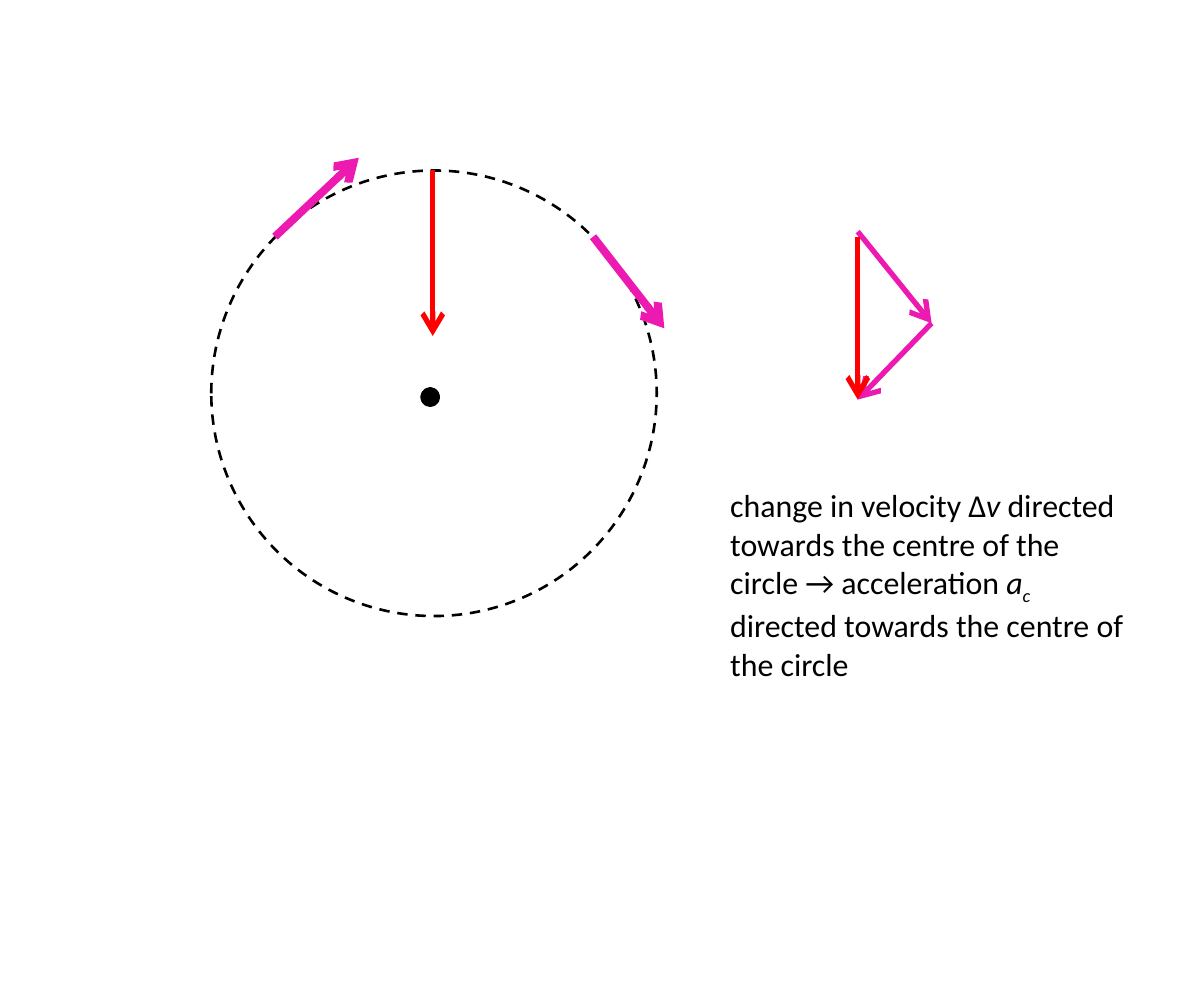
"""Build a slide on velocity change and acceleration in circular motion."""
from dataclasses import dataclass

from lxml import etree
from pptx import Presentation
from pptx.dml.color import RGBColor
from pptx.enum.dml import MSO_LINE
from pptx.enum.shapes import MSO_CONNECTOR, MSO_SHAPE
from pptx.oxml.ns import qn
from pptx.util import Inches, Pt

OVAL = MSO_SHAPE.OVAL
STRAIGHT = MSO_CONNECTOR.STRAIGHT
DASH = MSO_LINE.DASH
BLANK_LAYOUT = 6


@dataclass(frozen=True)
class Theme:
    """Colours, font and sizes of the slide."""
    ink: RGBColor = RGBColor(0, 0, 0)
    velocity: RGBColor = RGBColor(0xEC, 0x1A, 0xB0)
    change: RGBColor = RGBColor(0xFF, 0, 0)
    font: str = "Calibri"
    text_size: float = 9
    thin: float = 0.75
    medium: float = 1.5
    dot_edge: float = 2
    thick: float = 2.25


THEME = Theme()
SLIDE_SIZE = (4.73, 3.94)
ORBIT = {"centre": (1.705, 1.545), "diameter": 1.75}
CENTRE_DOT = {"centre": (1.69, 1.56), "diameter": 0.05}
TRIANGLE = {"top": (3.37, 0.91), "side": (3.66, 1.27), "bottom": (3.37, 1.57)}
ARROWS = [
    ((1.08, 0.93), (1.41, 0.62), THEME.velocity, THEME.thick),
    ((2.33, 0.93), (2.61, 1.29), THEME.velocity, THEME.thick),
    (TRIANGLE["side"], TRIANGLE["bottom"], THEME.velocity, THEME.medium),
    (TRIANGLE["top"], TRIANGLE["side"], THEME.velocity, THEME.medium),
    ((3.37, 0.93), TRIANGLE["bottom"], THEME.change, THEME.medium),
]
CENTRE_ARROW = ((1.7, 0.67), (1.7, 1.32), THEME.change, THEME.medium)
CAPTION_AREA = (2.77, 1.86, 1.78, 0.86)
CAPTION = [
    ("change in velocity Δ", "plain"),
    ("v ", "italic"),
    ("directed towards the centre of the circle → acceleration ", "plain"),
    ("a", "italic"),
    ("c", "subscript"),
    (" directed towards the centre of the circle", "plain"),
]


def add_circle(page, centre, diameter, width):
    """Add an unfilled circle around a centre point."""
    left, top = (Inches(value - diameter / 2) for value in centre)
    circle = page.shapes.add_shape(OVAL, left, top, Inches(diameter), Inches(diameter))
    circle.shadow.inherit = False
    circle.fill.background()
    circle.line.color.rgb = THEME.ink
    circle.line.width = Pt(width)
    return circle


def add_arrow(page, start, end, colour, width):
    """Add a straight line with an open arrowhead at its end."""
    points = [Inches(value) for value in (*start, *end)]
    arrow = page.shapes.add_connector(STRAIGHT, *points)
    arrow.line.color.rgb = colour
    arrow.line.width = Pt(width)
    properties = arrow.line._get_or_add_ln()
    etree.SubElement(properties, qn("a:tailEnd"), type="arrow")
    etree.SubElement(arrow._element.spPr, qn("a:effectLst"))


def add_caption(page):
    """Add the wrapped explanation with its italic symbols."""
    box = page.shapes.add_textbox(*(Inches(value) for value in CAPTION_AREA))
    box.text_frame.word_wrap = True
    para = box.text_frame.paragraphs[0]
    for words, style in CAPTION:
        span = para.add_run()
        span.text = words
        span.font.name = THEME.font
        span.font.size = Pt(THEME.text_size)
        span.font.color.rgb = THEME.ink
        span.font.italic = style != "plain"
        if style == "subscript":
            span.font._element.set("baseline", "-25000")


def main():
    """Assemble and save the deck."""
    deck = Presentation()
    deck.slide_width, deck.slide_height = (Inches(value) for value in SLIDE_SIZE)
    page = deck.slides.add_slide(deck.slide_layouts[BLANK_LAYOUT])
    orbit = add_circle(page, **ORBIT, width=THEME.thin)
    orbit.line.dash_style = DASH
    for arrow in ARROWS:
        add_arrow(page, *arrow)
    dot = add_circle(page, **CENTRE_DOT, width=THEME.dot_edge)
    dot.fill.solid()
    dot.fill.fore_color.rgb = THEME.ink
    add_arrow(page, *CENTRE_ARROW)
    add_caption(page)
    deck.save("out.pptx")


if __name__ == "__main__":
    main()
